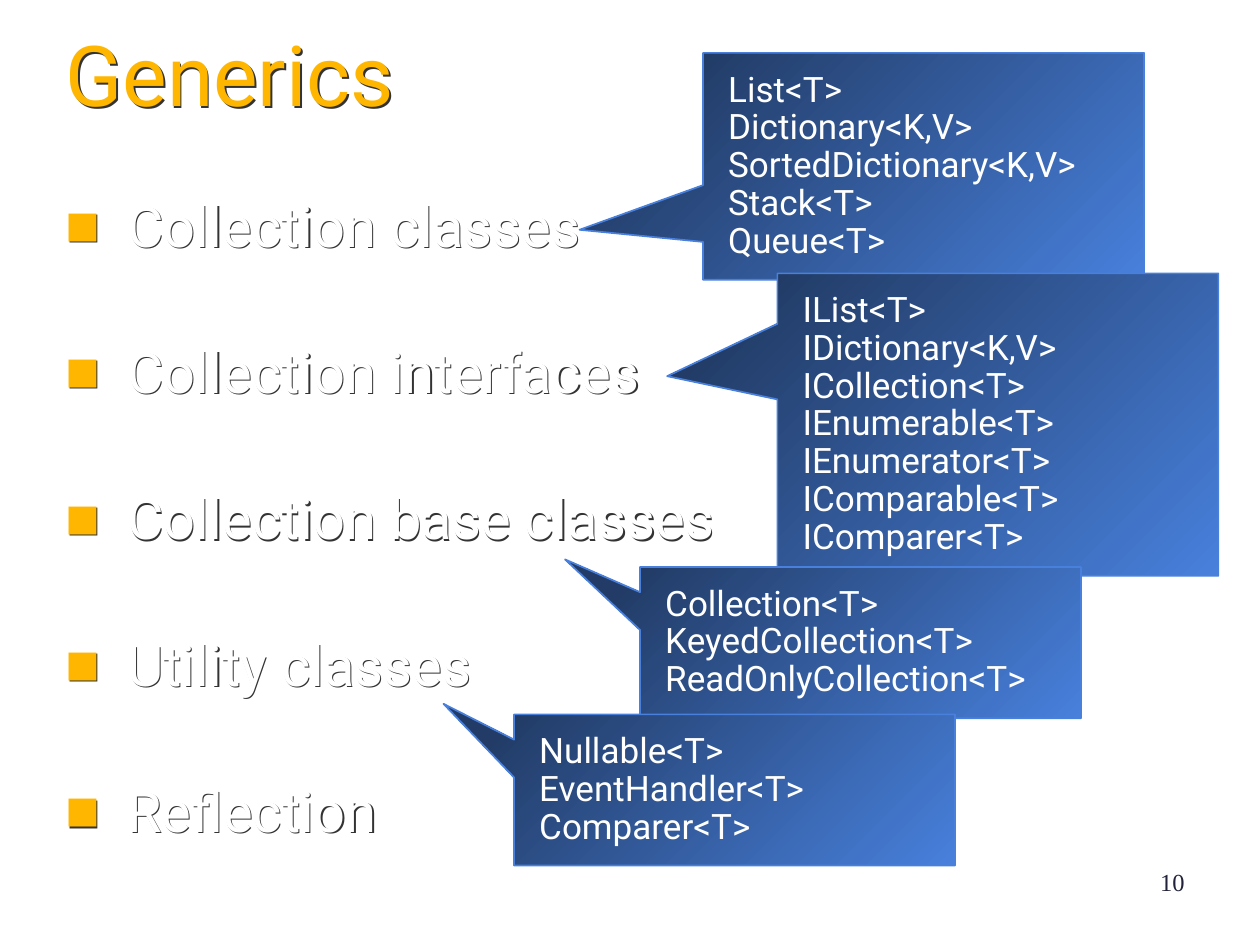
"""Builds the Generics slide: a bulleted list with callouts naming the types."""
from lxml.etree import SubElement as Sub
from pptx import Presentation
from pptx.dml.color import RGBColor
from pptx.enum.shapes import MSO_SHAPE as Shape
from pptx.enum.text import MSO_ANCHOR as Anchor, PP_ALIGN as Align
from pptx.oxml.ns import qn
from pptx.util import Inches, Pt

GOLD, WHITE, INK, DARK = "FFB601", "FFFFFF", "22233A", "333333"
BLUE, NAVY = "4880DC", "223C67"
FACE = "Roboto"

TOPICS = [
    "Collection classes", "Collection interfaces", "Collection base classes",
    "Utility classes", "Reflection",
]
CALLS = [
    (5.58, 0.42, 1.8, (-0.78, 0.28),
     ["List<T>", "Dictionary<K,V>", "SortedDictionary<K,V>", "Stack<T>",
      "Queue<T>"]),
    (6.17, 2.17, 2.4, (-0.75, -0.16),
     ["IList<T>", "IDictionary<K,V>", "ICollection<T>", "IEnumerable<T>",
      "IEnumerator<T>", "IComparable<T>", "IComparer<T>"]),
    (5.08, 4.5, 1.2, (-0.67, -0.55),
     ["Collection<T>", "KeyedCollection<T>", "ReadOnlyCollection<T>"]),
    (4.08, 5.67, 1.2, (-0.66, -0.57),
     ["Nullable<T>", "EventHandler<T>", "Comparer<T>"]),
]


def paint(color, code):
    """Set a colour from a hex string."""
    color.rgb = RGBColor.from_string(code)


def shade(box, dist):
    """Cast a shadow, its distance in points, from the letters of a box."""
    fx = Sub(box._element.spPr, qn("a:effectLst"))
    drop = Sub(fx, qn("a:outerShdw"), blurRad="0", dist=str(Pt(dist)),
               dir="2700000", algn="tl", rotWithShape="0")
    Sub(drop, qn("a:srgbClr"), val=DARK)


def bullet(para):
    """Hang a gold square before a paragraph."""
    props = para._p.get_or_add_pPr()
    props.set("marL", str(Inches(0.49)))
    props.set("indent", str(-Inches(0.49)))
    Sub(Sub(props, qn("a:buClr")), qn("a:srgbClr"), val=GOLD)
    Sub(props, qn("a:buSzPct"), val="65000")
    Sub(props, qn("a:buFont"), typeface=FACE)
    Sub(props, qn("a:buChar"), char="■")


def write(frame, lines, size, code, face=FACE, pad=(0.1, 0.05), lead=None,
          gap=0, align=Align.LEFT, mark=False):
    """Fill a text frame with one paragraph for each line."""
    frame.word_wrap = True
    frame.vertical_anchor = Anchor.TOP
    frame.margin_left = frame.margin_right = Inches(pad[0])
    frame.margin_top = frame.margin_bottom = Inches(pad[1])
    for i, line in enumerate(lines):
        para = frame.add_paragraph() if i else frame.paragraphs[0]
        if mark:
            bullet(para)
        para.alignment = align
        if lead:
            para.line_spacing = lead
        if i and gap:
            para.space_before = Pt(gap)
        run = para.add_run()
        run.text = line
        run.font.size = Pt(size)
        run.font.name = face
        paint(run.font.color, code)


def label(slide, x, y, w, h, lines, size, code, dist=0, **opts):
    """Add a text box, with a shadow if it has a distance."""
    box = slide.shapes.add_textbox(Inches(x), Inches(y), Inches(w), Inches(h))
    write(box.text_frame, lines, size, code, **opts)
    if dist:
        shade(box, dist)


def callout(slide, x, y, h, tip, lines):
    """Add a gradient callout whose tip points at its topic."""
    box = slide.shapes.add_shape(Shape.RECTANGULAR_CALLOUT, Inches(x),
                                 Inches(y), Inches(3.5), Inches(h))
    box.shadow.inherit = False
    box.adjustments[0], box.adjustments[1] = tip
    box.fill.gradient()
    box.fill.gradient_angle = 135
    for stop, code in zip(box.fill.gradient_stops, (BLUE, NAVY)):
        paint(stop.color, code)
    paint(box.line.color, BLUE)
    box.line.width = Pt(1)
    write(box.text_frame, lines, 20, WHITE, pad=(0.2, 0.15), lead=0.9)


def main():
    """Build and save the slide."""
    deck = Presentation()
    deck.slide_width, deck.slide_height = Inches(10), Inches(7.5)
    slide = deck.slides.add_slide(deck.slide_layouts[6])
    back = slide.background.fill
    back.solid()
    paint(back.fore_color, WHITE)
    label(slide, 0.42, 0.25, 9.18, 0.78, ["Generics"], 48, GOLD,
          dist=1.6, lead=0.85)
    label(slide, 0.42, 1.55, 7.83, 5.21, TOPICS, 32, WHITE,
          dist=1, lead=0.85, gap=51, mark=True)
    for call in CALLS:
        callout(slide, *call)
    label(slide, 7.17, 6.83, 2.33, 0.52, ["10"], 14, INK,
          face="Times New Roman", align=Align.RIGHT)
    deck.save("out.pptx")


if __name__ == "__main__":
    main()
